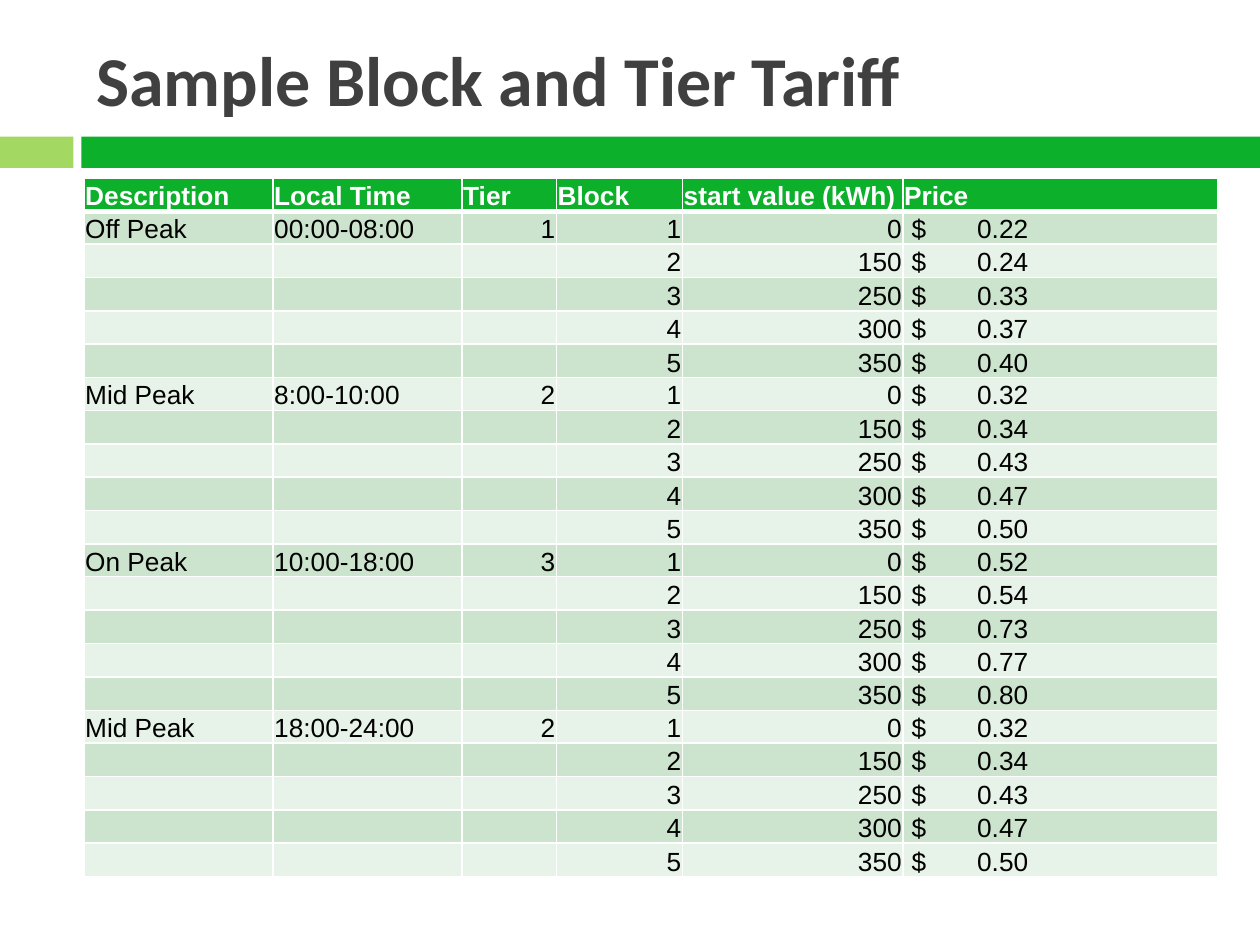
import pptx
import pptx.util
import pptx.dml.color
import pptx.enum.shapes
import pptx.enum.text
import pptx.oxml.ns
from lxml import etree
from dataclasses import dataclass

Pt = pptx.util.Pt
qn = pptx.oxml.ns.qn
Anchor = pptx.enum.text.MSO_ANCHOR
Align = pptx.enum.text.PP_ALIGN


@dataclass(frozen=True)
class Theme:
    green: str = "0DB02B"
    lime: str = "A3D963"
    bands: tuple = ("CCE4CD", "E7F2E8")
    white: str = "FFFFFF"
    ink: str = "000000"
    grey: str = "404040"
    head_font: str = "Calibri"
    body_font: str = "Arial"
    head_size: int = 40
    body_size: int = 15


THEME = Theme()
HEADS = ("Description", "Local Time", "Tier", "Block", "start value (kWh)", "Price")
WIDTHS = (108, 108, 54, 72, 126, 180)
STARTS = (0, 150, 250, 300, 350)
TIERS = (
    ("Off Peak", "00:00-08:00", 1, (0.22, 0.24, 0.33, 0.37, 0.40)),
    ("Mid Peak", "8:00-10:00", 2, (0.32, 0.34, 0.43, 0.47, 0.50)),
    ("On Peak", "10:00-18:00", 3, (0.52, 0.54, 0.73, 0.77, 0.80)),
    ("Mid Peak", "18:00-24:00", 2, (0.32, 0.34, 0.43, 0.47, 0.50)),
)
PRICE_COL = len(HEADS) - 1


def paint(fill, color):
    fill.solid()
    fill.fore_color.rgb = pptx.dml.color.RGBColor.from_string(color)


def style(para, font, size, color, bold):
    for run in para.runs:
        run.font.name = font
        run.font.size = Pt(size)
        run.font.bold = bold
        run.font.color.rgb = pptx.dml.color.RGBColor.from_string(color)


def add_bar(slide, left, width, color):
    bar = slide.shapes.add_shape(
        pptx.enum.shapes.MSO_SHAPE.RECTANGLE, Pt(left), Pt(78), Pt(width), Pt(18))
    bar.shadow.inherit = False
    paint(bar.fill, color)
    bar.line.fill.background()


def add_title(slide, text):
    frame = slide.shapes.add_textbox(Pt(48), Pt(6), Pt(660), Pt(78)).text_frame
    frame.word_wrap = True
    frame.vertical_anchor = Anchor.MIDDLE
    frame.text = text
    style(frame.paragraphs[0], THEME.head_font, THEME.head_size, THEME.grey, True)


def add_edges(cell, top, base):
    props = cell._tc.get_or_add_tcPr()
    for spot, (side, width) in enumerate(
            (("L", 1), ("R", 1), ("T", top), ("B", base))):
        edge = etree.Element(qn(f"a:ln{side}"), w=str(Pt(width)))
        fill = etree.SubElement(edge, qn("a:solidFill"))
        etree.SubElement(fill, qn("a:srgbClr"), val=THEME.white)
        props.insert(spot, edge)


def add_tab(para, place):
    tabs = etree.SubElement(para._p.get_or_add_pPr(), qn("a:tabLst"))
    etree.SubElement(tabs, qn("a:tab"), pos=str(Pt(place)), algn="l")


def fill_cell(cell, text, row, col):
    head = row == 0
    price = col == PRICE_COL and not head
    cell.margin_left = Pt(4.9 if price else 0.72)
    cell.margin_right = cell.margin_top = Pt(0.72)
    cell.margin_bottom = 0
    cell.vertical_anchor = Anchor.BOTTOM
    paint(cell.fill, THEME.green if head else THEME.bands[(row - 1) % 2])
    add_edges(cell, 3 if row == 1 else 1, 3 if head else 1)
    para = cell.text_frame.paragraphs[0]
    if text == "":
        etree.SubElement(para._p, qn("a:endParaRPr"), sz=str(THEME.body_size * 100))
        return
    para.text = str(text)
    if isinstance(text, int):
        para.alignment = Align.RIGHT
    if price:
        add_tab(para, 37.5)
    style(para, THEME.body_font, THEME.body_size,
          THEME.white if head else THEME.ink, head)


def list_rows():
    rows = [HEADS]
    for name, time, tier, costs in TIERS:
        for block, (start, cost) in enumerate(zip(STARTS, costs), 1):
            lead = (name, time, tier) if block == 1 else ("", "", "")
            rows.append((*lead, block, start, f"$\t{cost:.2f}"))
    return rows


def add_rates(slide):
    rows = list_rows()
    highs = [18] + [18, 19.1, 19.1, 19.1, 19.1] * len(TIERS)
    table = slide.shapes.add_table(
        len(rows), len(HEADS), Pt(48), Pt(102), Pt(sum(WIDTHS)), Pt(sum(highs))).table
    table.horz_banding = False
    for col, width in enumerate(WIDTHS):
        table.columns[col].width = Pt(width)
    for row, (texts, high) in enumerate(zip(rows, highs)):
        table.rows[row].height = Pt(high)
        for col, text in enumerate(texts):
            fill_cell(table.cell(row, col), text, row, col)


def main():
    deck = pptx.Presentation()
    deck.slide_width, deck.slide_height = Pt(720), Pt(540)
    slide = deck.slides.add_slide(deck.slide_layouts[6])
    add_bar(slide, 0, 42, THEME.lime)
    add_bar(slide, 46.5, 673.5, THEME.green)
    add_title(slide, "Sample Block and Tier Tariff")
    add_rates(slide)
    deck.save("out.pptx")


if __name__ == "__main__":
    main()
